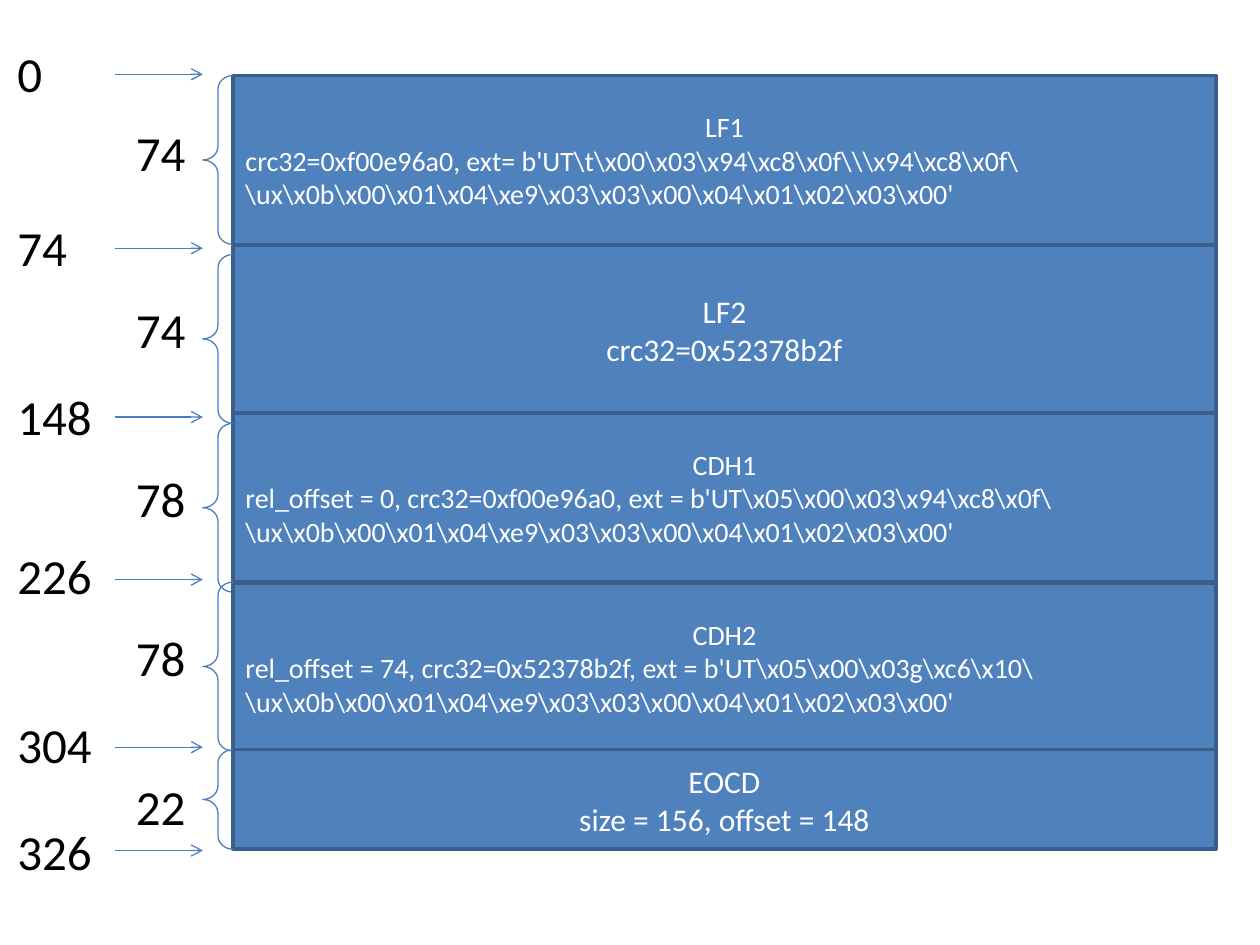
"""Build a slide mapping the byte layout of a ZIP archive."""
from itertools import accumulate
from lxml import etree
from pptx import Presentation
from pptx import util as u
from pptx.dml.color import RGBColor
from pptx.enum import shapes, text
from pptx.oxml.ns import qn


def frame(*lengths):
    return [u.Inches(length) for length in lengths]


def write(shape, lines, size, color):
    for index, (words, align) in enumerate(lines):
        body = shape.text_frame
        para = body.paragraphs[0] if index == 0 else body.add_paragraph()
        para.alignment = align
        span = para.add_run()
        span.text = words
        span.font.size = u.Pt(size)
        span.font.name = "Calibri"
        span.font.color.rgb = RGBColor.from_string(color)


deck = Presentation()
deck.slide_width, deck.slide_height = frame(10, 7.5)
page = deck.slides.add_slide(deck.slide_layouts[6])

OFFSET_COL, ARROW_COL, SIZE_COL, BRACE_COL, RECORD_COL = 0.04, 0.91, 0.98, 1.61, 1.85
RECORD_WIDTH, LABEL_WIDTH, LABEL_HEIGHT = 7.8, 0.87, 0.57
LEFT, CENTER = text.PP_ALIGN.LEFT, text.PP_ALIGN.CENTER
extra = r"\ux\x0b\x00\x01\x04\xe9\x03\x03\x00\x04\x01\x02\x03\x00'"

# name, detail, detail alignment, font size, byte size, record top, brace top, height, label drop
records = [
    ("LF1", r"crc32=0xf00e96a0, ext= b'UT\t\x00\x03\x94\xc8\x0f\\\x94\xc8\x0f" + "\\" + extra,
     LEFT, 16, 74, 0.6, 0.6, 1.34, 0.32),
    ("LF2", "crc32=0x52378b2f", CENTER, 18, 74, 1.95, 2.02, 1.34, 0.31),
    ("CDH1", r"rel_offset = 0, crc32=0xf00e96a0, ext = b'UT\x05\x00\x03\x94\xc8\x0f" + "\\" + extra,
     LEFT, 16, 78, 3.28, 3.36, 1.34, 0.31),
    ("CDH2", r"rel_offset = 74, crc32=0x52378b2f, ext = b'UT\x05\x00\x03g\xc6\x10" + "\\" + extra,
     LEFT, 16, 78, 4.63, 4.62, 1.34, 0.31),
    ("EOCD", "size = 156, offset = 148", CENTER, 18, 22, 5.95, 5.95, 0.79, 0.16),
]
labels = []

for name, detail, align, size, length, top, brace_top, height, drop in records:
    record = page.shapes.add_shape(
        shapes.MSO_SHAPE.RECTANGLE, *frame(RECORD_COL, top, RECORD_WIDTH, height))
    record.shadow.inherit = False
    record.fill.solid()
    record.fill.fore_color.rgb = RGBColor.from_string("4F81BD")
    record.line.color.rgb = RGBColor.from_string("3A5F8C")
    record.line.width = u.Pt(2)
    record.text_frame.word_wrap = True
    record.text_frame.vertical_anchor = text.MSO_ANCHOR.MIDDLE
    write(record, [(name, CENTER), (detail, align)], size, "FFFFFF")

    brace = page.shapes.add_shape(
        shapes.MSO_SHAPE.LEFT_BRACE, *frame(BRACE_COL, brace_top, RECORD_COL - BRACE_COL, height))
    brace.shadow.inherit = False
    brace.adjustments[0] = 0.446
    brace.fill.background()
    brace.line.color.rgb = RGBColor.from_string("4B7EBC")
    brace.line.width = u.Pt(0.75)
    labels.append((length, SIZE_COL, brace_top + drop))

offsets = accumulate([record[4] for record in records], initial=0)
arrow_rows = [0.59, 1.97, 3.31, 4.6, 5.93, 6.75]
label_rows = [0.3, 1.68, 3.02, 4.28, 5.62, 6.47]
for offset, row, label_row in zip(offsets, arrow_rows, label_rows):
    arrow = page.shapes.add_connector(
        shapes.MSO_CONNECTOR.STRAIGHT, *frame(ARROW_COL, row, BRACE_COL, row))
    arrow.line.color.rgb = RGBColor.from_string("4B7EBC")
    arrow.line.width = u.Pt(0.75)
    etree.SubElement(arrow.line._get_or_add_ln(), qn("a:tailEnd"), type="arrow")
    etree.SubElement(arrow._element.spPr, qn("a:effectLst"))
    labels.append((offset, OFFSET_COL, label_row))

for number, column, row in labels:
    box = page.shapes.add_textbox(*frame(column, row, LABEL_WIDTH, LABEL_HEIGHT))
    box.text_frame.word_wrap = True
    box.text_frame.auto_size = text.MSO_AUTO_SIZE.SHAPE_TO_FIT_TEXT
    write(box, [(str(number), LEFT)], 28, "000000")

deck.save("out.pptx")
